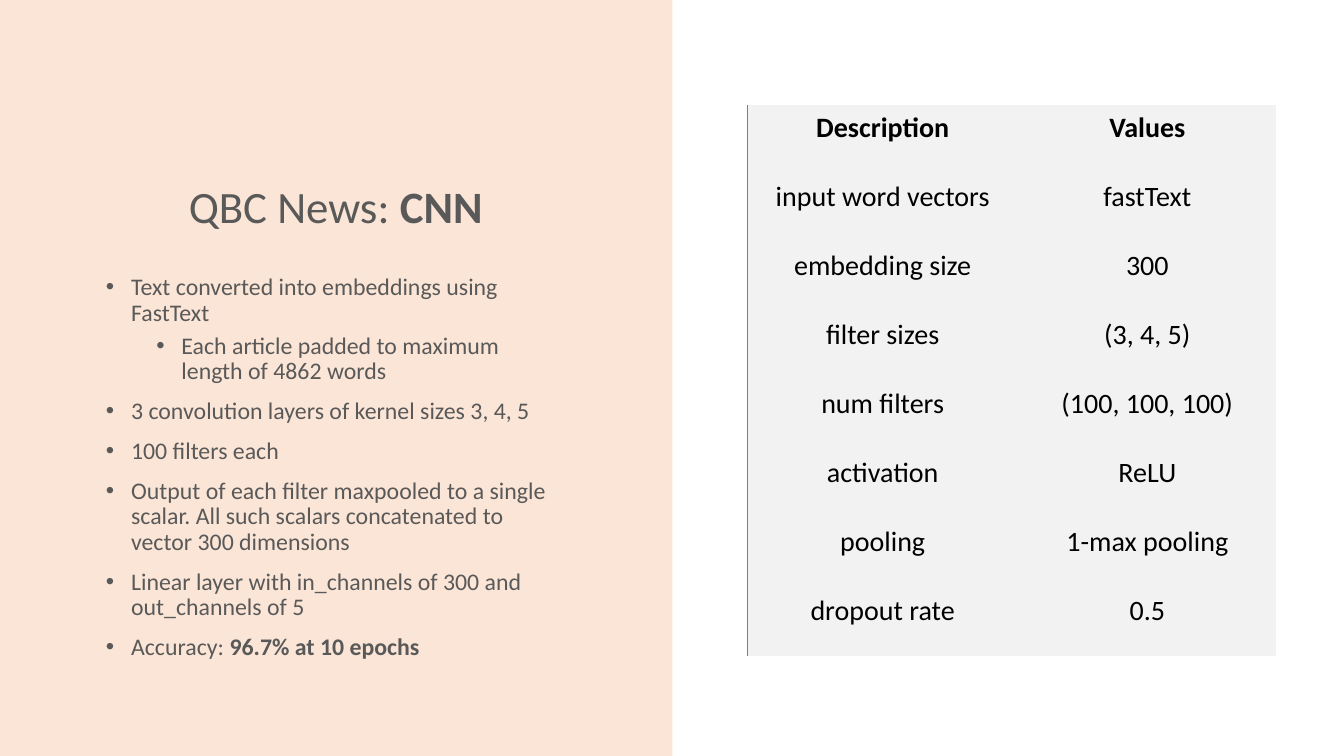
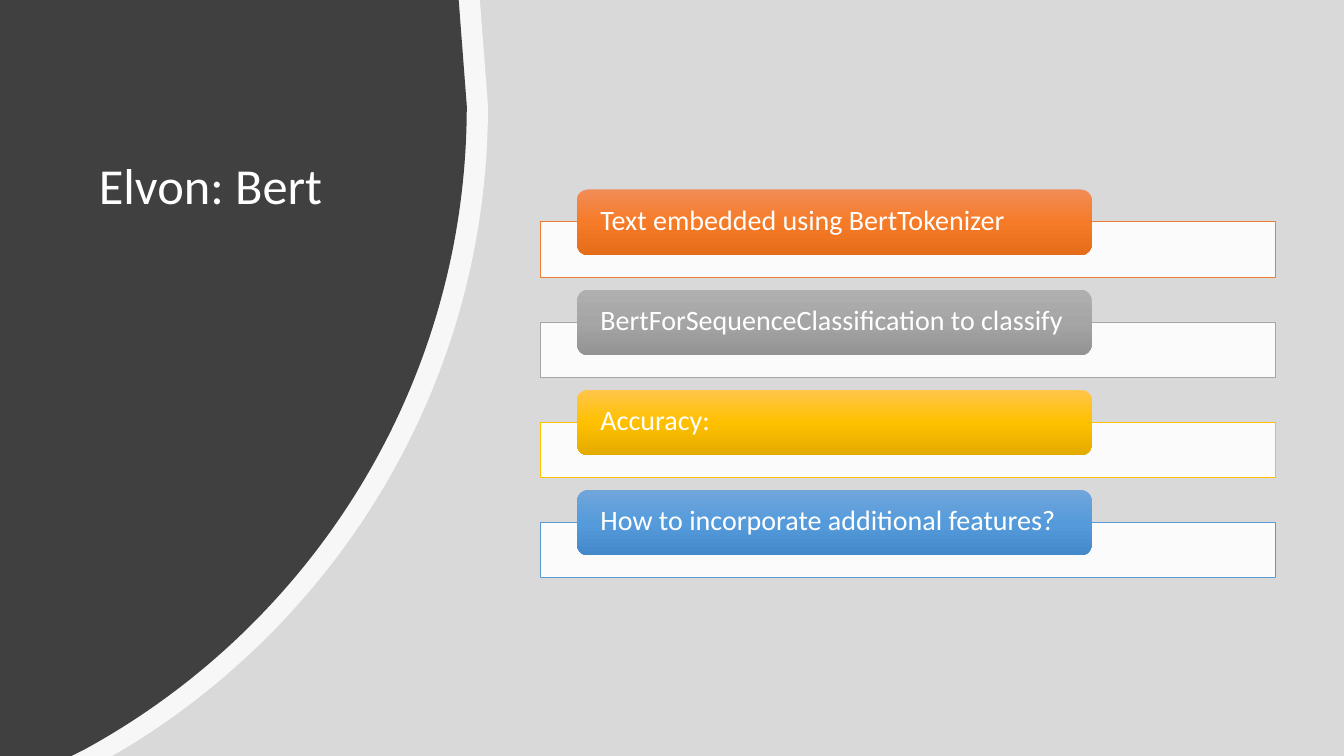
import copy

import pptx
import pptx.dml.color
import pptx.enum.shapes
import pptx.enum.text
import pptx.oxml
import pptx.oxml.ns
import pptx.util
from lxml import etree

Inches = pptx.util.Inches
Pt = pptx.util.Pt
RGBColor = pptx.dml.color.RGBColor
Shape = pptx.enum.shapes.MSO_SHAPE
Align = pptx.enum.text.PP_ALIGN
Anchor = pptx.enum.text.MSO_ANCHOR
qn = pptx.oxml.ns.qn

FONT = "Calibri"
SLIDE_WIDTH, SLIDE_HEIGHT = 13.33, 7.5
WHITE = RGBColor(0xFF, 0xFF, 0xFF)
BLACK = RGBColor(0x00, 0x00, 0x00)
PEACH = RGBColor(0xFB, 0xE5, 0xD6)
TEXT_GREY = RGBColor(0x59, 0x59, 0x59)
CELL_GREY = RGBColor(0xF2, 0xF2, 0xF2)
RULE_GREY = RGBColor(0x7F, 0x7F, 0x7F)
BACKDROP_GREY = RGBColor(0xD9, 0xD9, 0xD9)
CHARCOAL = RGBColor(0x40, 0x40, 0x40)
NO_STYLE_TABLE = "{2D5ABB26-0587-4C30-8999-92F81FD0307C}"

BULLETS = [
    (0, [("Text converted into embeddings using FastText", False)]),
    (1, [("Each article padded to maximum length of 4862 words", False)]),
    (0, [("3 convolution layers of kernel sizes 3, 4, 5", False)]),
    (0, [("100 filters each", False)]),
    (0, [("Output of each filter maxpooled to a single scalar. "
          "All such scalars concatenated to vector 300 dimensions", False)]),
    (0, [("Linear layer with in_channels of 300 and out_channels of 5", False)]),
    (0, [("Accuracy: ", False), ("96.7% at 10 epochs", True)]),
]
PARAMETERS = [
    ("Description", "Values"),
    ("input word vectors", "fastText"),
    ("embedding size", "300"),
    ("filter sizes", "(3, 4, 5)"),
    ("num filters", "(100, 100, 100)"),
    ("activation", "ReLU"),
    ("pooling", "1-max pooling"),
    ("dropout rate", "0.5"),
]
# Text, outline colour, gradient colours from top to bottom
STEPS = [
    ("Text embedded using BertTokenizer", "ED7D31", ("F18C57", "F67B28", "E56C19")),
    ("BertForSequenceClassification to classify", "A5A5A5", ("AFAFAF", "A5A5A5", "939393")),
    ("Accuracy:", "FFC000", ("FFC64B", "FFC000", "E3AB00")),
    ("How to incorporate additional features?", "5B9BD5", ("71A6DB", "559BDB", "448ACA")),
]
# Each disc edge: top point, start of arc, two control points, end of arc, bottom point
OUTER_EDGE = [(4.76, 0), (4.84, 1.05), (4.84, 3.75), (3.4, 6.11), (1.25, 7.42), (1.11, 7.5)]
INNER_EDGE = [(4.55, 0), (4.63, 1.05), (4.63, 3.81), (3.09, 6.21), (0.83, 7.44), (0.71, 7.5)]


def place(shape, box):
    for name, value in zip(("left", "top", "width", "height"), box):
        setattr(shape, name, Inches(value))


def write_runs(paragraph, runs, size, color):
    """Write (text, bold) pairs into a paragraph."""
    for text, bold in runs:
        run = paragraph.add_run()
        run.text = text
        for name, value in {"name": FONT, "size": Pt(size), "bold": bold}.items():
            setattr(run.font, name, value)
        run.font.color.rgb = color


def set_frame(frame, anchor, **margins):
    frame.word_wrap = True
    frame.auto_size = pptx.enum.text.MSO_AUTO_SIZE.NONE
    frame.vertical_anchor = anchor
    for side, value in margins.items():
        setattr(frame, f"margin_{side}", Inches(value))


def set_title(slide, box, runs, size, color, align, anchor):
    title = slide.shapes.title
    place(title, box)
    set_frame(title.text_frame, anchor)
    paragraph = title.text_frame.paragraphs[0]
    paragraph.alignment = align
    paragraph.line_spacing = 0.9
    write_runs(paragraph, runs, size, color)


def fill_solid(shape, color, opacity=100):
    shape.shadow.inherit = False
    shape.fill.solid()
    shape.fill.fore_color.rgb = color
    shape.line.fill.background()
    if opacity < 100:
        rgb = shape.element.spPr.find(f"{qn('a:solidFill')}/{qn('a:srgbClr')}")
        etree.SubElement(rgb, qn("a:alpha")).set("val", str(opacity * 1000))


def add_box(slide, preset, box, color, opacity=100):
    shape = slide.shapes.add_shape(preset, *map(Inches, box))
    fill_solid(shape, color, opacity)
    return shape


def send_to_back(shape):
    shape.element.getparent().insert(2, shape.element)


def fill_bullets(body, box):
    place(body, box)
    frame = body.text_frame
    set_frame(frame, Anchor.TOP)
    for index, (level, runs) in enumerate(BULLETS):
        paragraph = frame.add_paragraph() if index else frame.paragraphs[0]
        paragraph.level = level
        paragraph.line_spacing = 0.9
        paragraph.space_before = Pt(5 if level else 10)
        properties = paragraph._p.get_or_add_pPr()
        properties.set("marL", str(Inches(0.25 + 0.5 * level)))
        properties.set("indent", str(Inches(-0.25)))
        etree.SubElement(properties, qn("a:buFont")).set("typeface", "Arial")
        etree.SubElement(properties, qn("a:buChar")).set("char", "•")
        write_runs(paragraph, runs, 17, TEXT_GREY)


def add_left_border(cell, color):
    line = pptx.oxml.parse_xml(
        f'<a:lnL {pptx.oxml.ns.nsdecls("a")} w="{Pt(1)}"><a:solidFill>'
        f'<a:srgbClr val="{color}"/></a:solidFill></a:lnL>')
    cell._tc.get_or_add_tcPr().insert(0, line)


def add_parameter_table(slide, box):
    width, height = box[2:]
    frame = slide.shapes.add_table(len(PARAMETERS), 2, *map(Inches, box))
    table = frame.table
    frame.element.find(f".//{qn('a:tableStyleId')}").text = NO_STYLE_TABLE
    table.first_row = table.horz_banding = False
    name_width = 2.81
    table.columns[0].width = Inches(name_width)
    table.columns[1].width = Inches(width - name_width)
    for row, values in enumerate(PARAMETERS):
        table.rows[row].height = Inches(height / len(PARAMETERS))
        for column, text in enumerate(values):
            cell = table.cell(row, column)
            cell.fill.solid()
            cell.fill.fore_color.rgb = CELL_GREY
            cell.vertical_anchor = Anchor.MIDDLE
            margins = {"left": 0.12, "top": 0.03, "right": 0.24, "bottom": 0.25}
            for side, value in margins.items():
                setattr(cell, f"margin_{side}", Inches(value))
            paragraph = cell.text_frame.paragraphs[0]
            paragraph.alignment = Align.CENTER
            write_runs(paragraph, [(text, row == 0)], 20, BLACK)
        add_left_border(table.cell(row, 0), RULE_GREY)


def add_disc_edge(slide, edge, color, opacity=100):
    """Fill the slide from its left edge to a large curved edge."""
    points = [(Inches(x), Inches(y)) for x, y in edge]
    top, arc_start, *controls, arc_end, bottom = points
    builder = slide.shapes.build_freeform(0, 0)
    builder.add_line_segments([top, arc_start, arc_end, bottom, (0, Inches(SLIDE_HEIGHT))])
    shape = builder.convert_to_shape()
    # The third segment becomes the curve; the first two controls precede its end point.
    segment = shape.element.findall(f".//{qn('a:lnTo')}")[2]
    curve = etree.Element(qn("a:cubicBezTo"))
    for x, y in controls + [arc_end]:
        point = etree.SubElement(curve, qn("a:pt"))
        point.set("x", str(x))
        point.set("y", str(y))
    segment.getparent().replace(segment, curve)
    fill_solid(shape, color, opacity)


def fill_gradient(shape, colors):
    """Fill from top to bottom with three evenly spaced colours."""
    shape.fill.gradient()
    shape.fill.gradient_angle = 270
    stop_list = shape.element.find(f".//{qn('a:gsLst')}")
    stop_list.append(copy.deepcopy(stop_list[-1]))
    for index, (stop, color) in enumerate(zip(shape.fill.gradient_stops, colors)):
        stop.position = index / 2
        stop.color.rgb = RGBColor.from_string(color)


def add_step(slide, box, text, outline, colors):
    """Draw a coloured label overlapping the top of a wide white bar."""
    left, top, width, height = box
    bar_height, label_height = 0.55, 0.65
    bar = add_box(slide, Shape.RECTANGLE,
                  (left, top + height - bar_height, width, bar_height), WHITE, 90)
    bar.line.color.rgb = RGBColor.from_string(outline)
    bar.line.width = Pt(0.5)
    label = add_box(slide, Shape.ROUNDED_RECTANGLE,
                    (left + 0.05 * width, top, 0.7 * width, label_height), WHITE)
    fill_gradient(label, colors)
    set_frame(label.text_frame, Anchor.MIDDLE, left=0.2, right=0.2, top=0, bottom=0.02)
    paragraph = label.text_frame.paragraphs[0]
    paragraph.alignment = Align.LEFT
    paragraph.line_spacing = 0.9
    write_runs(paragraph, [(text, False)], 20, WHITE)


def build_network_slide(presentation):
    slide = presentation.slides.add_slide(presentation.slide_layouts[1])
    panel = add_box(slide, Shape.RECTANGLE, (0, 0, 6.67, SLIDE_HEIGHT), PEACH)
    send_to_back(panel)
    set_title(slide, (0.95, 0.75, 4.76, 1.61), [("QBC News: ", False), ("CNN", True)],
              32, TEXT_GREY, Align.CENTER, Anchor.BOTTOM)
    fill_bullets(slide.placeholders[1], (0.95, 2.68, 4.76, 4.12))
    add_parameter_table(slide, (7.41, 1.04, 5.25, 5.47))


def build_bert_slide(presentation):
    slide = presentation.slides.add_slide(presentation.slide_layouts[5])
    backdrop = add_box(slide, Shape.RECTANGLE, (0, 0, SLIDE_WIDTH, SLIDE_HEIGHT), BACKDROP_GREY)
    send_to_back(backdrop)
    add_disc_edge(slide, OUTER_EDGE, WHITE, 80)
    add_disc_edge(slide, INNER_EDGE, CHARCOAL)
    set_title(slide, (0.88, 1.55, 3.14, 2.36), [("Elvon: Bert", False)],
              36, WHITE, Align.LEFT, Anchor.TOP)
    title = slide.shapes.title.element
    title.getparent().append(title)
    pitch = 2.98 / 3
    for index, step in enumerate(STEPS):
        add_step(slide, (5.36, 1.88 + pitch * index, 7.29, 0.87), *step)


def main():
    presentation = pptx.Presentation()
    presentation.slide_width = Inches(SLIDE_WIDTH)
    presentation.slide_height = Inches(SLIDE_HEIGHT)
    build_network_slide(presentation)
    build_bert_slide(presentation)
    presentation.save("out.pptx")


if __name__ == "__main__":
    main()
